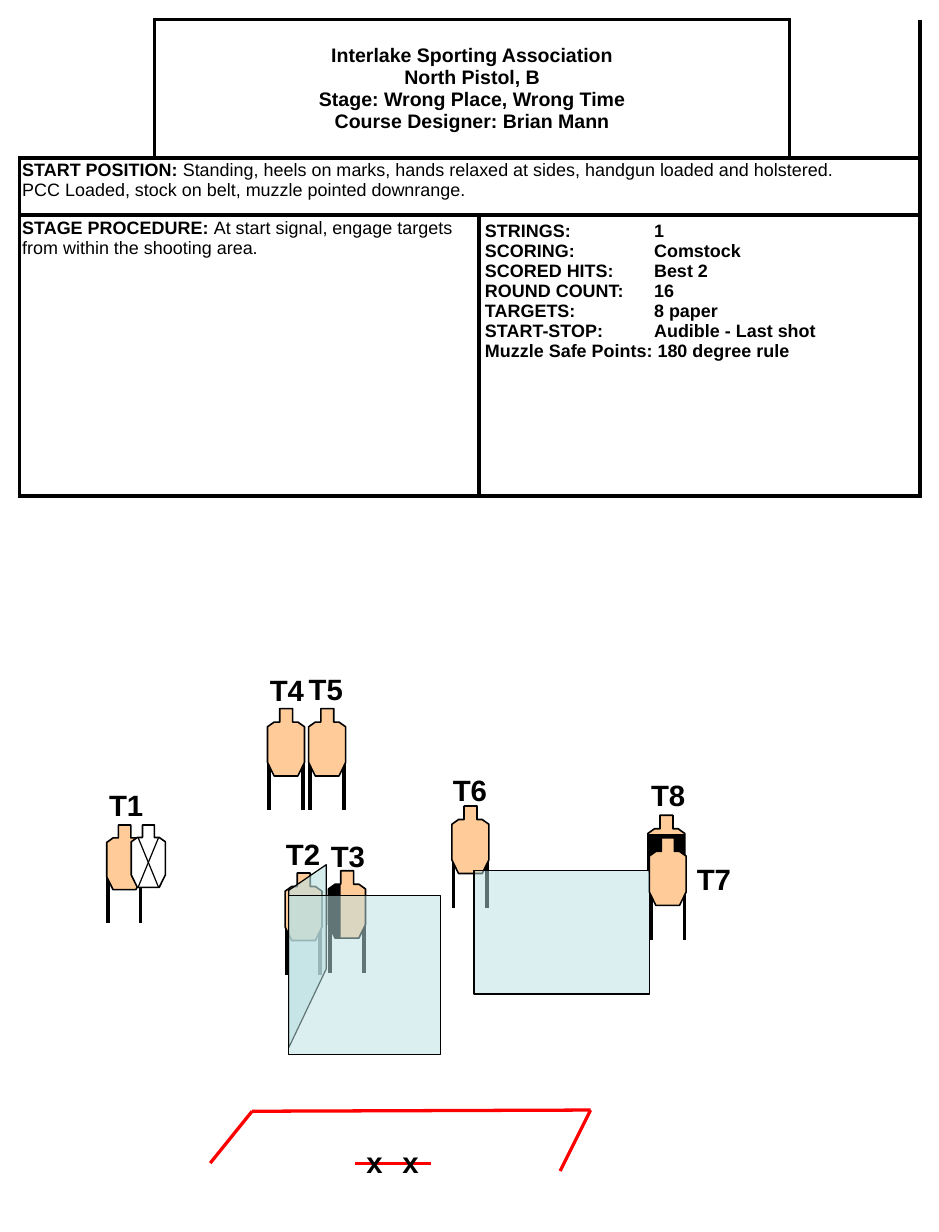
from pptx import Presentation
from pptx.dml.color import RGBColor
from pptx.enum.shapes import MSO_CONNECTOR
from pptx.enum.text import MSO_ANCHOR, PP_ALIGN
from pptx.oxml.ns import qn
from pptx.util import Cm, Pt
from lxml.etree import SubElement

HUES = {"ink": "000000", "paper": "FFFFFF", "tan": "FFCC99", "glass": "BBE0E3", "red": "FF0000"}
BODY = [(0.33, 0), (0.68, 0), (0.68, 0.2), (0.82, 0.2), (1, 0.27), (1, 0.8),
        (0.82, 1), (0.18, 1), (0, 0.8), (0, 0.27), (0.18, 0.2), (0.33, 0.2)]
CHEST = [(0, 0.28), (1, 0.28), (1, 0.8), (0.82, 1), (0.18, 1), (0, 0.8)]
SIDE = [(0.33, 0.2), (0.33, 1), (0.18, 1), (0, 0.8), (0, 0.27), (0.18, 0.2)]
RECT = [(0, 0), (1, 0), (1, 1), (0, 1)]
SLANT = [(1, 0.57), (0, 1), (0, 0.14), (1, 0)]
SIZE = (0.8, 1.46)
EDGES = [["RB", "LRTB", "RTB", "LB"],
         ["LRTB", "TB", "TB", "RTB"],
         ["LRTB", "RTB", "LRTB", "RTB"]]
FACTS = ["STRINGS:\t1", "SCORING:\tComstock", "SCORED HITS:\tBest 2",
         "ROUND COUNT:\t16", "TARGETS:\t8 paper",
         "START-STOP:\tAudible - Last shot", "Muzzle Safe Points: 180 degree rule"]


def hue(name):
    """Return the named colour."""
    return RGBColor.from_string(HUES[name])


def spot(box, part):
    """Turn a fractional point of a box into slide lengths."""
    x, y, w, h = box
    return Cm(x + part[0] * w), Cm(y + part[1] * h)


def style(run, size, bold):
    """Format one run."""
    run.font.name, run.font.size, run.font.bold = "Arial", Pt(size), bold
    run.font.color.rgb = hue("ink")


def line(shapes, box, start, end, color, width):
    """Draw a straight line between two points of a box."""
    link = shapes.add_connector(MSO_CONNECTOR.STRAIGHT, *spot(box, start), *spot(box, end))
    link.line.color.rgb, link.line.width = hue(color), Pt(width)
    SubElement(link._element.spPr, qn("a:effectLst"))


def poly(shapes, box, parts, fill, width, alpha=None):
    """Draw a closed outline given in fractions of a box."""
    first, *rest = [spot(box, part) for part in parts]
    pen = shapes.build_freeform(*first)
    pen.add_line_segments(rest, close=True)
    shape = pen.convert_to_shape()
    shape.shadow.inherit = False
    shape.fill.solid()
    shape.fill.fore_color.rgb = hue(fill)
    if alpha:
        tint = shape._element.spPr.find(".//" + qn("a:srgbClr"))
        SubElement(tint, qn("a:alpha"), val=str(alpha * 1000))
    if width:
        shape.line.color.rgb, shape.line.width = hue("ink"), Pt(width)
    else:
        shape.line.fill.background()


def label(shapes, x, y, text):
    """Place a bold label."""
    frame = shapes.add_textbox(Cm(x), Cm(y), Cm(1.47), Cm(1.02)).text_frame
    frame.word_wrap = True
    frame.text = text
    style(frame.paragraphs[0].runs[0], 18, True)


def target(shapes, box, legs=True, cover=None):
    """Draw a paper target with its stand and painted area."""
    group = shapes.add_group_shape().shapes
    if legs:
        for x in (0.04, 0.95):
            line(group, box, (x, 0.75), (x, 1.51), "ink", 2.25)
    poly(group, box, BODY, "tan", 1)
    if cover:
        poly(group, box, cover, "ink", 0)


def guard(shapes, box):
    """Draw a white crossed target."""
    group = shapes.add_group_shape().shapes
    poly(group, box, BODY, "paper", 1)
    line(group, box, (0.8, 0.2), (0.2, 1), "ink", 0.75)
    line(group, box, (0.2, 0.2), (0.8, 1), "ink", 0.75)


def wall(shapes, box, parts, alpha):
    """Draw a see-through wall."""
    poly(shapes, box, parts, "glass", 0.75, alpha)


def area(shapes, box):
    """Draw the shooting area with its start marks."""
    for start, end in (((0.11, 0.02), (0, 0.87)), ((0.92, 1), (1, 0)),
                       ((1, 0), (0.11, 0.02)), ((0.58, 0.88), (0.38, 0.88))):
        line(shapes, box, start, end, "red", 2)
    x, y, w, h = box
    for part in (0.38, 0.475):
        label(shapes, x + part * w, y + 0.46 * h, "x")


def border(cell, sides):
    """Rule the given sides of a cell on white."""
    props = cell._tc.get_or_add_tcPr()
    for side in sides:
        rule = SubElement(props, qn("a:ln" + side), w=str(Pt(2.25)))
        SubElement(SubElement(rule, qn("a:solidFill")), qn("a:srgbClr"), val=HUES["ink"])
    cell.fill.solid()
    cell.fill.fore_color.rgb = hue("paper")


def write(cell, paras, size, pad):
    """Fill a cell with paragraphs of (text, bold) runs."""
    cell.margin_left = cell.margin_right = Cm(pad[0])
    cell.margin_top = cell.margin_bottom = Cm(pad[1])
    frame = cell.text_frame
    for i, runs in enumerate(paras):
        para = frame.add_paragraph() if i else frame.paragraphs[0]
        for text, bold in runs:
            run = para.add_run()
            run.text = text
            style(run, size, bold)
    return frame.paragraphs


def brief(shapes, x, y, w, h):
    """Build the stage briefing table."""
    table = shapes.add_table(3, 4, Cm(x), Cm(y), Cm(w), Cm(h)).table
    table.first_row = table.horz_banding = False
    table._tbl.tblPr.find(qn("a:tableStyleId")).text = "{2D5ABB26-0587-4C30-8999-92F81FD0307C}"
    for col, part in zip(table.columns, (0.15, 0.36, 0.345, 0.145)):
        col.width = Cm(w * part)
    for row, part in zip(table.rows, (0.29, 0.12, 0.59)):
        row.height = Cm(h * part)
    for r, row in enumerate(EDGES):
        for c, sides in enumerate(row):
            border(table.cell(r, c), sides)
    for r, c, end in ((0, 1, 2), (1, 0, 3), (2, 0, 1), (2, 2, 3)):
        table.cell(r, c).merge(table.cell(r, end))

    head = table.cell(0, 1)
    head.vertical_anchor = MSO_ANCHOR.MIDDLE
    para = head.text_frame.paragraphs[0]
    para.text = ("Interlake Sporting Association\vNorth Pistol, B\v"
                 "Stage: Wrong Place, Wrong Time\vCourse Designer: Brian Mann")
    para.alignment = PP_ALIGN.CENTER
    for run in para.runs:
        style(run, 12, True)

    start = [[("START POSITION: ", True),
              ("Standing, heels on marks, hands relaxed at sides, handgun loaded and holstered.", False)],
             [("PCC Loaded, stock on belt, muzzle pointed downrange.", False)]]
    paras = write(table.cell(1, 0), start, 11, (0.05, 0.1))
    for para in paras:
        para.line_spacing = 0.9
    paras[1].space_before = Pt(1.1)
    write(table.cell(2, 0), [[("STAGE PROCEDURE: ", True),
          ("At start signal, engage targets from within the shooting area.", False)]], 11, (0.05, 0.08))
    for para in write(table.cell(2, 2), [[(fact, True)] for fact in FACTS], 11, (0.13, 0.13)):
        tabs = SubElement(para._p.get_or_add_pPr(), qn("a:tabLst"))
        SubElement(tabs, qn("a:tab"), pos=str(Cm(3.66)), algn="l")


def field(shapes):
    """Lay out targets, walls, labels and the shooting area."""
    target(shapes, (14.02, 17.65, *SIZE), False, CHEST)
    target(shapes, (14.05, 18.14, *SIZE))
    target(shapes, (6.17, 18.9, *SIZE))
    target(shapes, (7.11, 18.85, *SIZE), cover=SIDE)
    target(shapes, (9.78, 17.45, *SIZE))
    area(shapes, (4.55, 24.03, 8.23, 1.32))
    for text, x, y in (("T1", 2.11, 16.92), ("T2", 5.94, 17.98), ("T3", 6.91, 18.01),
                       ("T4", 5.59, 14.43), ("T5", 6.43, 14.4), ("T6", 9.55, 16.59),
                       ("T7", 14.83, 18.52), ("T8", 13.84, 16.71)):
        label(shapes, x, y, text)
    wall(shapes, (6.25, 18.72, 0.81, 3.96), SLANT, 61)
    wall(shapes, (6.25, 19.38, 3.28, 3.45), RECT, 52)
    wall(shapes, (10.26, 18.85, 3.79, 2.67), RECT, 50)
    for x in (5.79, 6.68):
        target(shapes, (x, 15.34, *SIZE))
    target(shapes, (2.31, 17.86, 0.77, 1.4))
    guard(shapes, (2.84, 17.86, 0.74, 1.35))


def main():
    """Build and save the stage slide."""
    deck = Presentation()
    deck.slide_width, deck.slide_height = Cm(20.32), Cm(26.67)
    shapes = deck.slides.add_slide(deck.slide_layouts[6]).shapes
    brief(shapes, 0.43, 0.43, 19.48, 10.31)
    field(shapes)
    deck.save("out.pptx")


if __name__ == "__main__":
    main()
